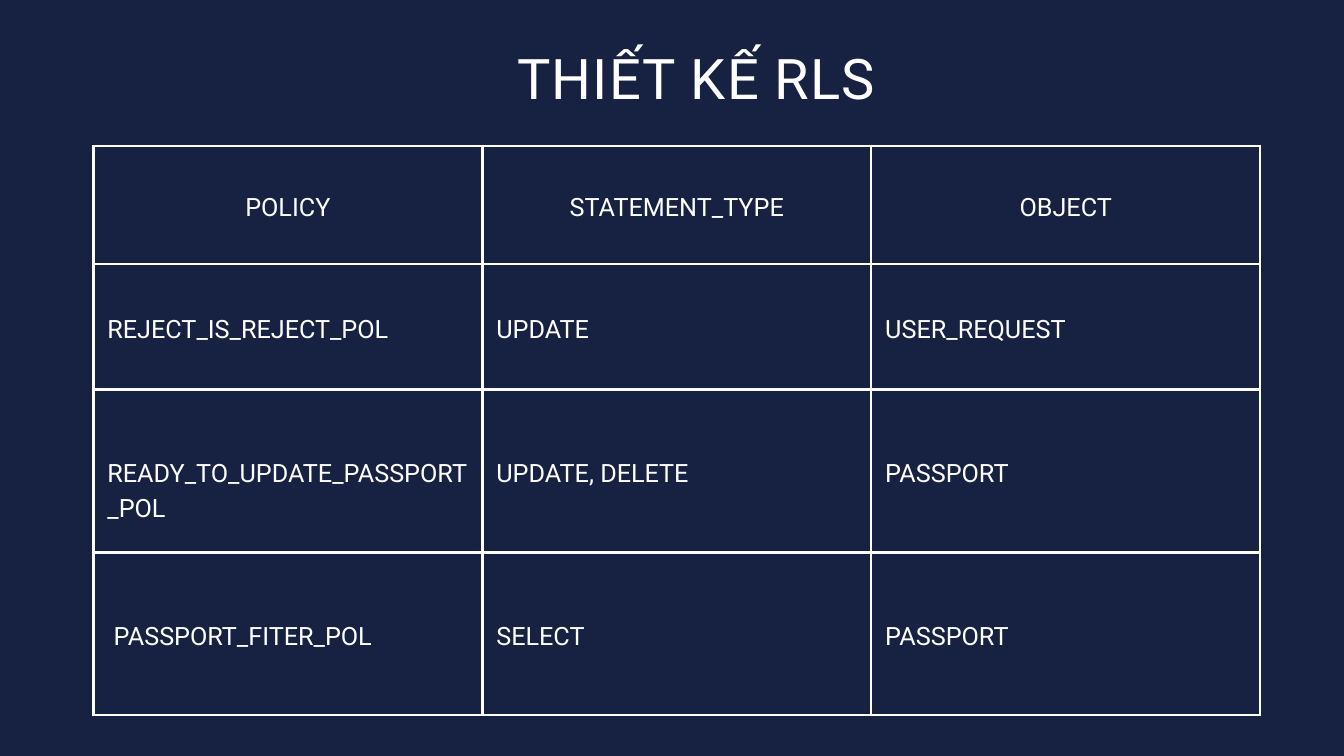
from dataclasses import dataclass

from lxml import etree
from pptx import Presentation
from pptx.dml.color import RGBColor
from pptx.enum.text import MSO_ANCHOR, MSO_AUTO_SIZE, PP_ALIGN
from pptx.oxml.ns import qn
from pptx.table import _Cell
from pptx.text.text import _Paragraph
from pptx.util import Cm, Pt

CENTER = PP_ALIGN.CENTER
LEFT = PP_ALIGN.LEFT
MIDDLE = MSO_ANCHOR.MIDDLE
TOP = MSO_ANCHOR.TOP
FIT_SHAPE = MSO_AUTO_SIZE.SHAPE_TO_FIT_TEXT

NAVY = "172243"
WHITE = "FFFFFF"
FONT = "Roboto"
COLUMN_WIDTH = 14.7
CELL_MARGIN = Cm(0.53)
BORDER_WIDTH = Pt(3)


@dataclass
class PolicyRow:
    height: float
    texts: tuple[str, str, str]
    alignment: PP_ALIGN = LEFT


ROWS = [
    PolicyRow(4.47, ("POLICY", "STATEMENT_TYPE", "OBJECT"), CENTER),
    PolicyRow(4.75, ("REJECT_IS_REJECT_POL", "UPDATE", "USER_REQUEST")),
    PolicyRow(6.15, (" READY_TO_UPDATE_PASSPORT_POL", "UPDATE, DELETE", "PASSPORT")),
    PolicyRow(6.15, (" PASSPORT_FITER_POL", "SELECT", "PASSPORT")),
]


def color(value: str) -> RGBColor:
    return RGBColor.from_string(value)


def format_paragraph(paragraph: _Paragraph, size: float, line_spacing: float,
                     alignment: PP_ALIGN) -> None:
    paragraph.alignment = alignment
    paragraph.line_spacing = Pt(line_spacing)
    for run in paragraph.runs:
        run.font.name = FONT
        run.font.size = Pt(size)
        run.font.color.rgb = color(WHITE)


def add_borders(cell: _Cell) -> None:
    properties = cell._tc.get_or_add_tcPr()
    for side in ("a:lnL", "a:lnR", "a:lnT", "a:lnB"):
        line = etree.SubElement(properties, qn(side), w=str(BORDER_WIDTH))
        fill = etree.SubElement(line, qn("a:solidFill"))
        etree.SubElement(fill, qn("a:srgbClr"), val=WHITE)


def fill_cell(cell: _Cell, text: str, alignment: PP_ALIGN) -> None:
    add_borders(cell)
    cell.fill.solid()
    cell.fill.fore_color.rgb = color(NAVY)
    cell.vertical_anchor = MIDDLE
    cell.margin_left = cell.margin_right = CELL_MARGIN
    cell.margin_top = cell.margin_bottom = CELL_MARGIN
    cell.text_frame.text = text
    format_paragraph(cell.text_frame.paragraphs[0], 27, 37.8, alignment)


def add_title(slide) -> None:
    title = slide.shapes.title
    title.left, title.top = Cm(18.16), Cm(1.22)
    title.width, title.height = Cm(16.33), Cm(2.77)
    frame = title.text_frame
    frame.text = "THIẾT KẾ RLS"
    frame.word_wrap = True
    frame.auto_size = FIT_SHAPE
    frame.vertical_anchor = TOP
    frame.margin_left = frame.margin_right = 0
    frame.margin_top = frame.margin_bottom = 0
    paragraph = frame.paragraphs[0]
    format_paragraph(paragraph, 60, 84, CENTER)
    paragraph.runs[0].font._element.set("spc", "120")


def add_policy_table(slide) -> None:
    column_count = len(ROWS[0].texts)
    height = sum(row.height for row in ROWS)
    table = slide.shapes.add_table(
        len(ROWS), column_count, Cm(3.53), Cm(5.51),
        Cm(COLUMN_WIDTH * column_count), Cm(height)).table
    table.first_row = False
    table.horz_banding = False
    for column in table.columns:
        column.width = Cm(COLUMN_WIDTH)
    for table_row, row in zip(table.rows, ROWS):
        table_row.height = Cm(row.height)
        for cell, text in zip(table_row.cells, row.texts):
            fill_cell(cell, text, row.alignment)


def main() -> None:
    presentation = Presentation()
    presentation.slide_width = Cm(50.8)
    presentation.slide_height = Cm(28.58)
    slide = presentation.slides.add_slide(presentation.slide_layouts[5])
    slide.background.fill.solid()
    slide.background.fill.fore_color.rgb = color(NAVY)
    add_title(slide)
    add_policy_table(slide)
    presentation.save("out.pptx")


if __name__ == "__main__":
    main()
